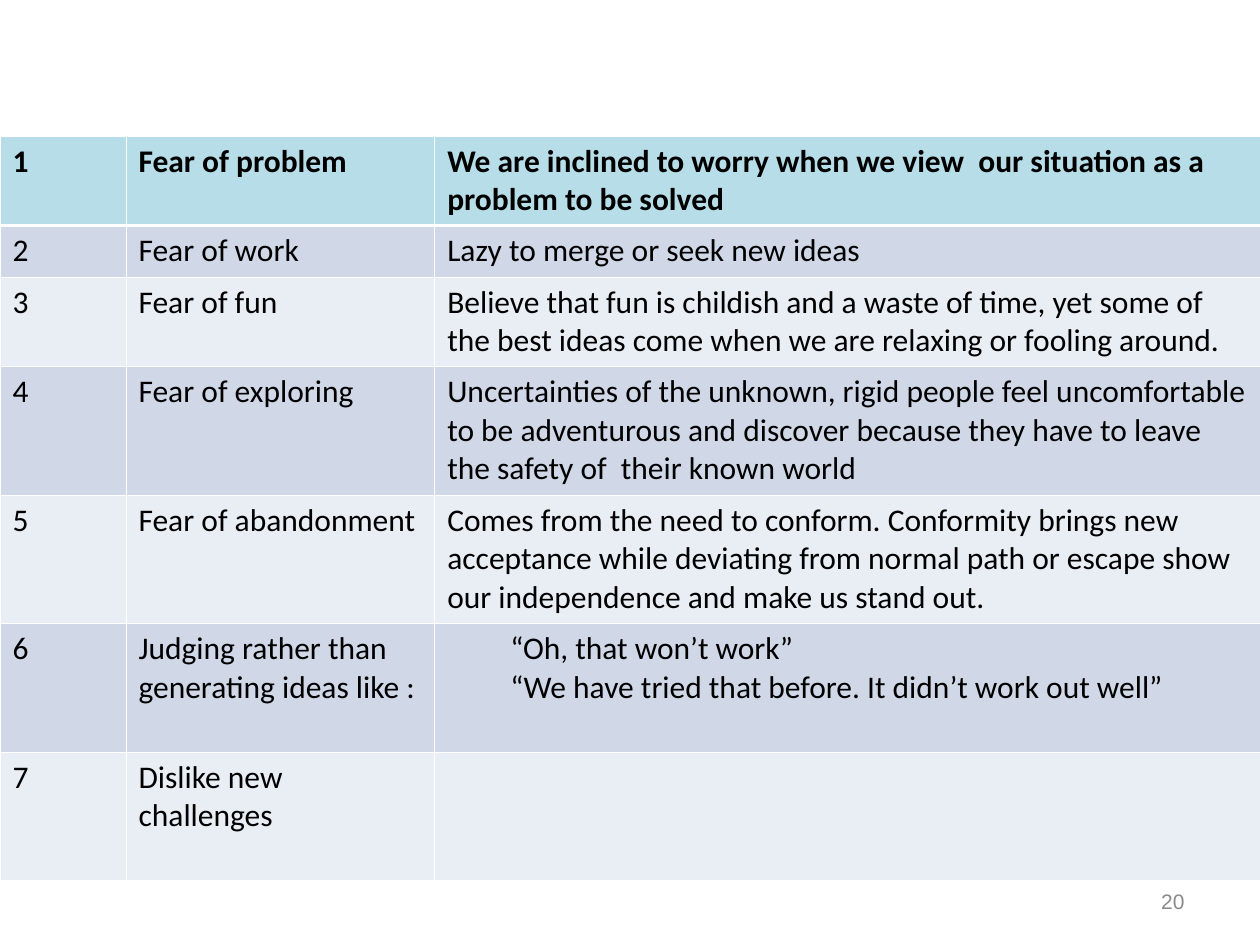
from lxml import etree
from pptx import Presentation
from pptx.dml.color import RGBColor
from pptx.enum import text
from pptx.oxml import ns
from pptx.util import Inches, Pt

BLACK = RGBColor(0x00, 0x00, 0x00)
WHITE = RGBColor(0xFF, 0xFF, 0xFF)
GRAY = RGBColor(0x89, 0x89, 0x89)
HEADER_FILL = RGBColor(0xB7, 0xDE, 0xE8)
BAND_FILLS = (RGBColor(0xE9, 0xED, 0xF4), RGBColor(0xD0, 0xD8, 0xE8))

PAGE_NUMBER = "20"
COLUMN_WIDTHS = (1, 2.45, 6.55)
BARRIERS = [
    (0.71, "Fear of problem",
     ["We are inclined to worry when we view  our situation as a problem to be solved"]),
    (0.41, "Fear of work", ["Lazy to merge or seek new ideas"]),
    (0.71, "Fear of fun",
     ["Believe that fun is childish and a waste of time, yet some of the best ideas "
      "come when we are relaxing or fooling around."]),
    (1.02, "Fear of exploring",
     ["Uncertainties of the unknown, rigid people feel uncomfortable to be adventurous "
      "and discover because they have to leave the safety of  their known world"]),
    (1.02, "Fear of abandonment",
     ["Comes from the need to conform. Conformity brings new acceptance while deviating "
      "from normal path or escape show our independence and make us stand out."]),
    (1.02, "Judging rather than generating ideas like :",
     ["“Oh, that won’t work”", "“We have tried that before. It didn’t work out well”"]),
    (1.02, "Dislike new challenges", []),
]


def write_text(frame, lines, font="Calibri", size=18, color=BLACK, bold=False,
               align=text.PP_ALIGN.LEFT, level=0):
    for index, line in enumerate(lines):
        paragraph = frame.add_paragraph() if index else frame.paragraphs[0]
        paragraph.alignment = align
        paragraph.level = level
        if level:
            properties = paragraph._p.get_or_add_pPr()
            properties.set("marL", str(Inches(0.5 * level)))
            properties.set("indent", "0")
        run = paragraph.add_run()
        run.text = line
        run.font.name = font
        run.font.size = Pt(size)
        run.font.bold = bold
        run.font.color.rgb = color


def add_borders(cell, top, bottom):
    properties = cell._tc.get_or_add_tcPr()
    for side, width in (("L", 0.45), ("R", 0.45), ("T", top), ("B", bottom)):
        line = etree.SubElement(properties, ns.qn(f"a:ln{side}"), w=str(Pt(width)))
        fill = etree.SubElement(line, ns.qn("a:solidFill"))
        etree.SubElement(fill, ns.qn("a:srgbClr"), val=str(WHITE))


def add_barrier_table(slide):
    heights = [height for height, _, _ in BARRIERS]
    table = slide.shapes.add_table(
        len(BARRIERS), len(COLUMN_WIDTHS), Inches(0), Inches(1.08),
        Inches(sum(COLUMN_WIDTHS)), Inches(sum(heights))).table
    for column, width in zip(table.columns, COLUMN_WIDTHS):
        column.width = Inches(width)
    for index, (height, name, details) in enumerate(BARRIERS):
        table.rows[index].height = Inches(height)
        for column, lines in enumerate(([str(index + 1)], [name], details)):
            cell = table.cell(index, column)
            add_borders(cell, top=1.47 if index == 1 else 0.45,
                        bottom=1.47 if index == 0 else 0.45)
            cell.fill.solid()
            cell.fill.fore_color.rgb = BAND_FILLS[index % 2] if index else HEADER_FILL
            write_text(cell.text_frame, lines, bold=index == 0,
                       level=1 if len(lines) > 1 else 0)


def add_page_number(slide):
    box = slide.shapes.add_textbox(Inches(7.17), Inches(6.95), Inches(2.33), Inches(0.4))
    frame = box.text_frame
    frame.word_wrap = True
    frame.vertical_anchor = text.MSO_ANCHOR.MIDDLE
    write_text(frame, [PAGE_NUMBER], font="Arial", size=12, color=GRAY,
               align=text.PP_ALIGN.RIGHT)


def main():
    presentation = Presentation()
    presentation.slide_width = Inches(10)
    presentation.slide_height = Inches(7.5)
    slide = presentation.slides.add_slide(presentation.slide_layouts[6])
    add_page_number(slide)
    add_barrier_table(slide)
    presentation.save("out.pptx")


if __name__ == "__main__":
    main()
